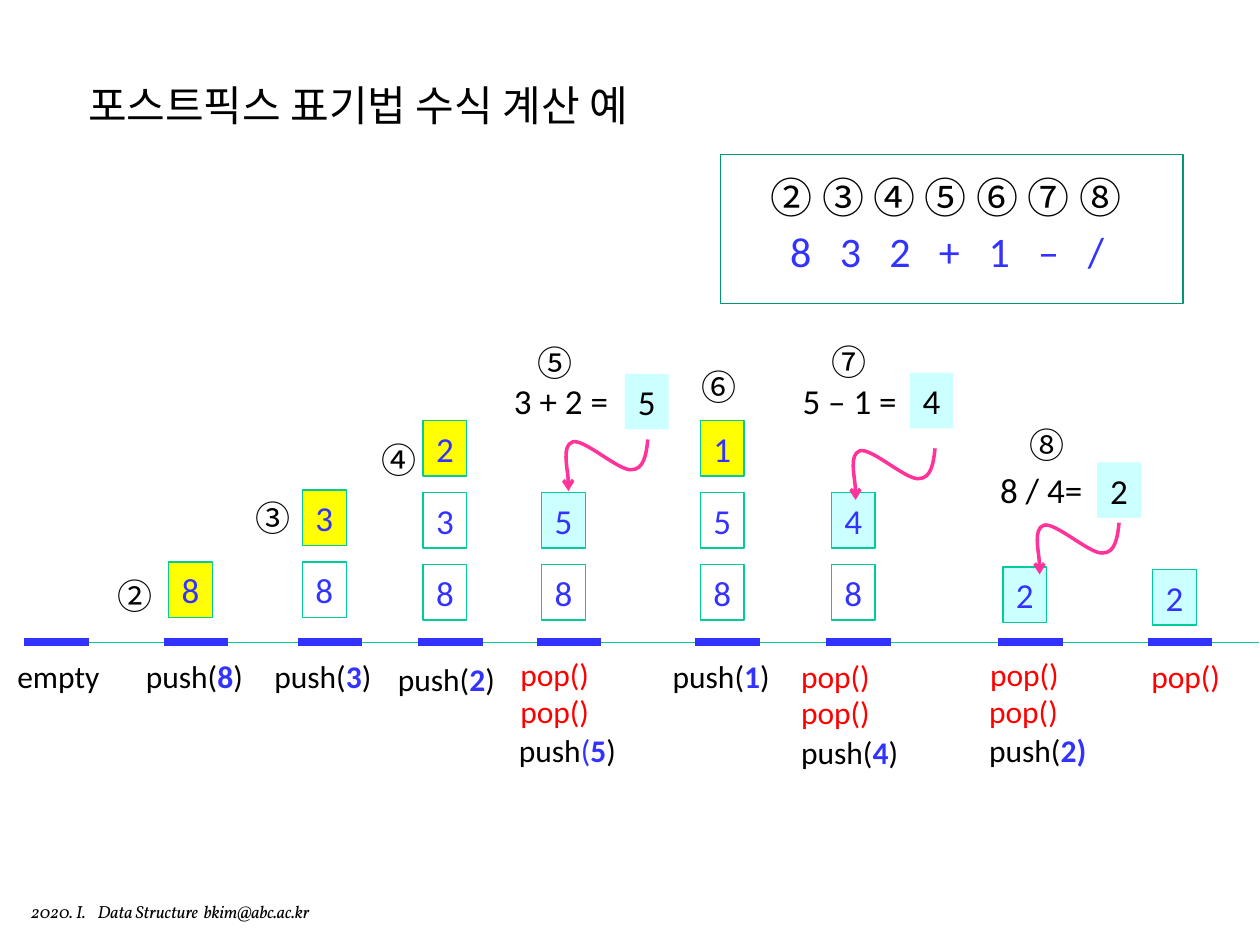
"""Build the slide that evaluates a postfix expression with a stack."""
from lxml import etree
from pptx import Presentation
from pptx.dml import color
from pptx.enum import shapes, text
from pptx.oxml import ns
from pptx.util import Cm, Pt

BLUE, BLACK, RED, GREEN = "3333FF", "000000", "FF0000", "00CC99"
YELLOW, CYAN, PINK = "FFFF00", "CCFFFF", "FF3399"
KOREAN = "Noto Sans CJK KR"
rgb = color.RGBColor.from_string


def write(frame, runs, size, font="Calibri", wrap=False, tabs=(), italic=None):
    """Add (wording, colour, bold) runs to the first paragraph of a frame."""
    frame.word_wrap = wrap
    line = frame.paragraphs[0]
    if tabs:
        stops = etree.SubElement(line._p.get_or_add_pPr(), ns.qn("a:tabLst"))
        for stop in tabs:
            etree.SubElement(stops, ns.qn("a:tab"), pos=str(Cm(stop)), algn="l")
    for wording, ink, bold in runs:
        run = line.add_run()
        run.text = wording
        run.font.size, run.font.name = Pt(size), font
        run.font.bold, run.font.italic = bold, italic
        run.font.color.rgb = rgb(ink)
        etree.SubElement(run.font._element, ns.qn("a:ea"), typeface=KOREAN)
    return line


def box(x, y, width, height, fill=None, border=None, digit="", ink=BLUE):
    """Draw a rectangle with an optional centred digit."""
    shape = slide.shapes.add_shape(
        shapes.MSO_SHAPE.RECTANGLE, Cm(x), Cm(y), Cm(width), Cm(height))
    shape.shadow.inherit = False
    if fill:
        shape.fill.solid()
        shape.fill.fore_color.rgb = rgb(fill)
    else:
        shape.fill.background()
    if border:
        shape.line.color.rgb = rgb(border)
        shape.line.width = Pt(0.75)
    else:
        shape.line.fill.background()
    if digit:
        line = write(shape.text_frame, [(digit, ink, False)], 20)
        line.alignment = text.PP_ALIGN.CENTER


deck = Presentation()
deck.slide_width, deck.slide_height = Cm(25.4), Cm(19.05)
slide = deck.slides.add_slide(deck.slide_layouts[5])

title = slide.shapes.title
title.left, title.top, title.width, title.height = Cm(1.52), Cm(0.91), Cm(19.4), Cm(2.39)
heading = write(title.text_frame, [("포스트픽스 표기법 수식 계산 예", BLACK, False)],
                24, "Vollkorn", wrap=True)
heading.alignment = text.PP_ALIGN.LEFT
title.text_frame.vertical_anchor = text.MSO_ANCHOR.MIDDLE

box(14.53, 3.12, 9.32, 3, border="009771")

stacks = [
    (3.4, 11.33, "8", YELLOW),
    (6.1, 11.33, "83", YELLOW),
    (8.53, 11.38, "832", YELLOW),
    (10.92, 11.38, "85", CYAN),
    (14.12, 11.38, "851", YELLOW),
    (16.76, 11.38, "84", CYAN),
    (20.22, 11.43, "2", CYAN),
    (23.24, 11.48, "2", CYAN),
]
for x, base, digits, top_fill in stacks:
    for level, digit in enumerate(digits):
        fill = top_fill if level == len(digits) - 1 else None
        box(x, base - 1.45 * level, 0.88, 1.12, fill, GREEN, digit)

baseline = [(0.58, 25.37, "00C896", 0.75), (0.48, 1.8, BLUE, 4.5)]
baseline += [(x - 0.1, x + 1.2, BLUE, 4.5) for x, *_ in stacks]
for start, end, ink, weight in baseline:
    rule = slide.shapes.add_connector(
        shapes.MSO_CONNECTOR.STRAIGHT, Cm(start), Cm(12.95), Cm(end), Cm(12.95))
    rule.line.color.rgb = rgb(ink)
    rule.line.width = Pt(weight)
    etree.SubElement(rule._element.spPr, ns.qn("a:effectLst"))

results = [(12.6, 7.54, "5"), (18.34, 7.52, "4"), (22.12, 9.32, "2")]
for x, y, digit in results:
    box(x, y, 0.88, 1.12, CYAN, digit=digit, ink=BLACK)

pop = [("pop()", RED, False)]
push = {digit: [("push(", BLACK, False), (digit, BLUE, True), (")", BLACK, False)]
        for digit in "83214"}
push_five = [("push", BLACK, False), ("(", BLUE, False), ("5", BLUE, True), (")", BLACK, False)]
push_result = [("push(", BLACK, False), ("2)", BLUE, True)]
operations = [
    (0.1, 13.13, [("empty", BLACK, False)]),
    (2.69, 13.13, push["8"]), (5.28, 13.13, push["3"]), (7.77, 13.18, push["2"]),
    (10.24, 13.08, pop), (10.24, 13.82, pop), (10.21, 14.61, push_five),
    (13.31, 13.13, push["1"]),
    (15.9, 13.13, pop), (15.9, 13.84, pop), (15.9, 14.66, push["4"]),
    (19.71, 13.08, pop), (19.69, 13.82, pop), (19.69, 14.61, push_result),
    (22.96, 13.13, pop),
]
labels = [(x, y, 2.49, runs, 18, "Calibri") for x, y, runs in operations]
equations = [(10.11, 7.52, "3 + 2 ="), (15.93, 7.52, "5 – 1 ="), (19.91, 9.32, "8 / 4=")]
labels += [(x, y, 2.44, [(sum_text, BLACK, False)], 20, "Calibri")
           for x, y, sum_text in equations]
steps = "②③④⑤⑥⑦⑧"
step_places = [(2.11, 11.46), (4.9, 9.88), (7.44, 8.71), (10.59, 6.76),
               (13.89, 7.24), (16.51, 6.73), (20.5, 8.41)]
labels += [(x, y, 1.14, [(step, BLACK, False)], 20, KOREAN)
           for step, (x, y) in zip(steps, step_places)]
labels.append((15.29, 3.33, 8.4, [(" ".join(steps), BLACK, False)], 24, KOREAN))
for x, y, width, runs, size, font in labels:
    label = slide.shapes.add_textbox(Cm(x), Cm(y), Cm(width), Cm(1.02))
    write(label.text_frame, runs, size, font)

expression = slide.shapes.add_textbox(Cm(15.68), Cm(4.42), Cm(8), Cm(1.27))
write(expression.text_frame, [("\t".join("832+1–/"), BLUE, False)], 24,
      wrap=True, tabs=range(1, 7))
footer = slide.shapes.add_textbox(Cm(0.38), Cm(18.03), Cm(7), Cm(0.69))
write(footer.text_frame, [("2020. I.\tData Structure\tbkim@abc.ac.kr", BLACK, False)], 10,
      "Vollkorn", wrap=True, tabs=(1.34, 3.48), italic=True)

bends = [(-0.03, 0.3), (-0.08, 0.61), (-0.33, 0.61),
         (-0.58, 0.64), (-1.3, -0.03), (-1.52, 0.05),
         (-1.73, 0.13), (-1.57, 0.84), (-1.6, 1.04)]
for x, y in [(13.06, 8.86), (18.85, 9.04), (22.56, 10.54)]:
    outline = slide.shapes.build_freeform(Cm(x), Cm(y))
    outline.add_line_segments([(Cm(x + dx), Cm(y + dy)) for dx, dy in bends], close=False)
    arrow = outline.convert_to_shape()
    arrow.shadow.inherit = False
    arrow.fill.background()
    arrow.line.color.rgb = rgb(PINK)
    arrow.line.width = Pt(2)
    etree.SubElement(arrow.line._get_or_add_ln(), ns.qn("a:tailEnd"), type="arrow")
    segments = list(arrow._element.iter(ns.qn("a:lnTo")))
    for first in range(0, len(segments), 3):
        curve = etree.SubElement(segments[first].getparent(), ns.qn("a:cubicBezTo"))
        for segment in segments[first:first + 3]:
            curve.append(segment[0])
            segment.getparent().remove(segment)

deck.save("out.pptx")
